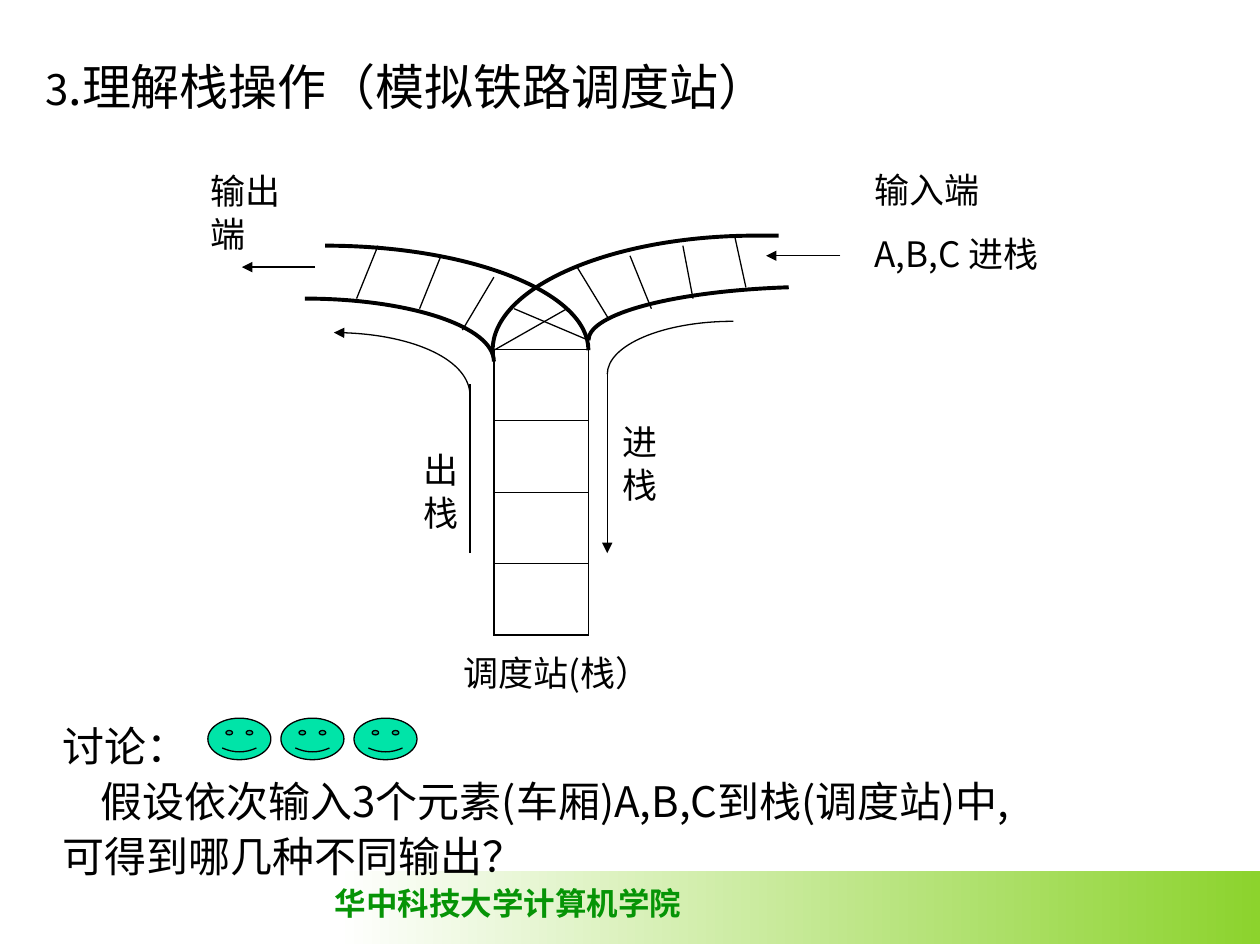
from pptx import Presentation
from pptx.dml.color import RGBColor
from pptx.enum.shapes import MSO_CONNECTOR, MSO_SHAPE
from pptx.oxml.ns import qn
from pptx.util import Inches, Pt
from lxml.etree import SubElement

SANS, SERIF = "Noto Sans CJK SC", "Times New Roman"
INK = "000000"

# Labels: left, top, width, paragraphs, format
LABELS = [
    (2.56, 6.97, 2.95, ["华中科技大学计算机学院"],
     dict(size=18, lead=21.6, font=SERIF, color="069406", bold=True, wrap=False)),
    (0.26, 0.39, 9.42, [[("3", 24), (".理解栈操作（模拟铁路调度站）", 28)]],
     dict(lead=34)),
    (6.84, 1.28, 1.75, ["输入端", "A,B,C 进栈"], dict(gap=12.2)),
    (4.84, 3.28, 0.5, ["进栈"], dict(lines=2)),
    (3.26, 3.5, 0.48, ["出", "栈"], dict(wrap=False)),
    (1.57, 1.29, 1.03, ["输出端"], dict(wrap=False)),
    (3.58, 5.11, 1.83, ["调度站(栈）"], {}),
    (0.4, 5.63, 9.3,
     ["讨论：", "假设依次输入3个元素(车厢)A,B,C到栈(调度站)中,",
      "可得到哪几种不同输出？"],
     dict(size=24, lead=31.4, indents=[0, 0.3, 0])),
]

# Curves: line width, arrow at start, chained Bezier points
CURVES = [
    (2.25, False, [(2.42, 2.37), (3.24, 2.37), (3.92, 2.59), (3.92, 2.87)]),
    (2.25, False, [(2.58, 1.95), (3.73, 1.95), (4.67, 2.32), (4.67, 2.78)]),
    (2.25, False, [(6.18, 1.87), (6.12, 1.87), (6.06, 1.87), (6, 1.87),
                   (4.85, 1.87), (3.91, 2.28), (3.91, 2.78)]),
    (2.25, False, [(6.26, 2.28), (5.35, 2.31), (4.67, 2.49), (4.67, 2.7)]),
    (0.75, False, [(5.82, 2.55), (5.26, 2.55), (4.82, 2.74), (4.82, 2.97)]),
    (0.75, True, [(2.65, 2.64), (3.25, 2.64), (3.73, 2.86), (3.73, 3.14)]),
]

# Straight lines: x1, y1, x2, y2
TIES = [
    (4.08, 2.45, 4.67, 2.7), (3.92, 2.78, 4.5, 2.45),
    (3.92, 2.2, 3.67, 2.62), (3.5, 2.03, 3.33, 2.45), (3, 1.95, 2.83, 2.37),
    (4.58, 2.12, 4.83, 2.53), (5, 2.03, 5.17, 2.45),
    (5.42, 1.95, 5.5, 2.37), (5.83, 1.87, 5.92, 2.28),
    (3.73, 4.39, 3.73, 3.05),
]
ARROWS = [(6.67, 2.03, 6.08, 2.03), (2.5, 2.12, 1.92, 2.12),
          (4.82, 2.97, 4.82, 4.39)]

STACK = dict(left=3.92, top=2.77, wide=0.75, high=2.27, rows=4)
FACES = dict(left=1.65, top=5.7, wide=0.5, high=0.33, step=0.58, count=3)

deck = Presentation()
deck.slide_width, deck.slide_height = Inches(10), Inches(7.5)
slide = deck.slides.add_slide(deck.slide_layouts[6])
shapes = slide.shapes


def rgb(code):
    return RGBColor.from_string(code)


def box(*nums):
    return [Inches(n) for n in nums]


def ink(part, width):
    part.line.color.rgb = rgb(INK)
    part.line.width = Pt(width)


def tip(part, end):
    SubElement(part.line._get_or_add_ln(), qn("a:" + end), type="triangle")


def write(left, top, width, paras, size=20, lead=24.6, font=SANS, color=INK,
          bold=False, gap=0, indents=None, wrap=True, lines=None):
    count = lines or len(paras)
    high = (lead * count + gap * (count - 1)) / 72 + 0.1
    frame = shapes.add_textbox(*box(left, top, width, high)).text_frame
    frame.word_wrap = wrap
    for i, text in enumerate(paras):
        para = frame.paragraphs[0] if i == 0 else frame.add_paragraph()
        para.line_spacing = Pt(lead)
        if i and gap:
            para.space_before = Pt(gap)
        if indents and indents[i]:
            para._p.get_or_add_pPr().set("indent", str(Inches(indents[i])))
        for words, points in [(text, size)] if isinstance(text, str) else text:
            run = para.add_run()
            run.text = words
            run.font.size, run.font.bold = Pt(points), bold
            run.font.name, run.font.color.rgb = font, rgb(color)
            SubElement(run._r.get_or_add_rPr(), qn("a:ea"), typeface=SANS)


def curve(width, arrow, points):
    (x, y), *rest = points
    pen = shapes.build_freeform(Inches(x), Inches(y))
    pen.add_line_segments([box(*p) for p in rest], close=False)
    part = pen.convert_to_shape()
    part.shadow.inherit = False
    part.fill.background()
    ink(part, width)
    if arrow:
        tip(part, "headEnd")
    # Turn each three segments into one Bezier curve
    route = next(part._element.iter(qn("a:moveTo"))).getparent()
    legs = route.findall(qn("a:lnTo"))
    for i in range(0, len(legs), 3):
        bend = SubElement(route, qn("a:cubicBezTo"))
        for leg in legs[i:i + 3]:
            bend.append(leg[0])
            route.remove(leg)


def line(ends, arrow=False):
    part = shapes.add_connector(MSO_CONNECTOR.STRAIGHT, *box(*ends))
    ink(part, 0.75)
    if arrow:
        tip(part, "tailEnd")
    SubElement(part._element.spPr, qn("a:effectLst"))


def edge(cell, side, width):
    ln = SubElement(cell._tc.get_or_add_tcPr(), qn("a:ln" + side), w=str(Pt(width)))
    SubElement(SubElement(ln, qn("a:solidFill")), qn("a:srgbClr"), val=INK)


# Footer band
band = shapes.add_shape(MSO_SHAPE.RECTANGLE, *box(2.67, 6.91, 7.33, 0.58))
band.shadow.inherit = False
band.line.fill.background()
band.fill.gradient()
band.fill.gradient_angle = 0
for stop, code in zip(band.fill.gradient_stops, ("FFFFFF", "8CD32D")):
    stop.color.rgb = rgb(code)

# Stack
rows = STACK["rows"]
grid = shapes.add_table(rows, 1, *box(STACK["left"], STACK["top"],
                                      STACK["wide"], STACK["high"])).table
grid.first_row = grid.horz_banding = False
for i in range(rows):
    cell = grid.cell(i, 0)
    for side, width in (("L", 1.08), ("R", 1.08), ("T", 0.45),
                        ("B", 1.08 if i == rows - 1 else 0.45)):
        edge(cell, side, width)
    cell.fill.background()

# Rails, ties and arrows
for item in CURVES:
    curve(*item)
for ends in TIES:
    line(ends)
for ends in ARROWS:
    line(ends, arrow=True)

# Texts
for left, top, width, paras, form in LABELS:
    write(left, top, width, paras, **form)

# Smiling faces
for i in range(FACES["count"]):
    face = shapes.add_shape(MSO_SHAPE.SMILEY_FACE, *box(
        FACES["left"] + i * FACES["step"], FACES["top"],
        FACES["wide"], FACES["high"]))
    face.adjustments[0] = 0.093
    face.shadow.inherit = False
    face.fill.solid()
    face.fill.fore_color.rgb = rgb("00E4A8")
    ink(face, 0.75)

deck.save("out.pptx")
